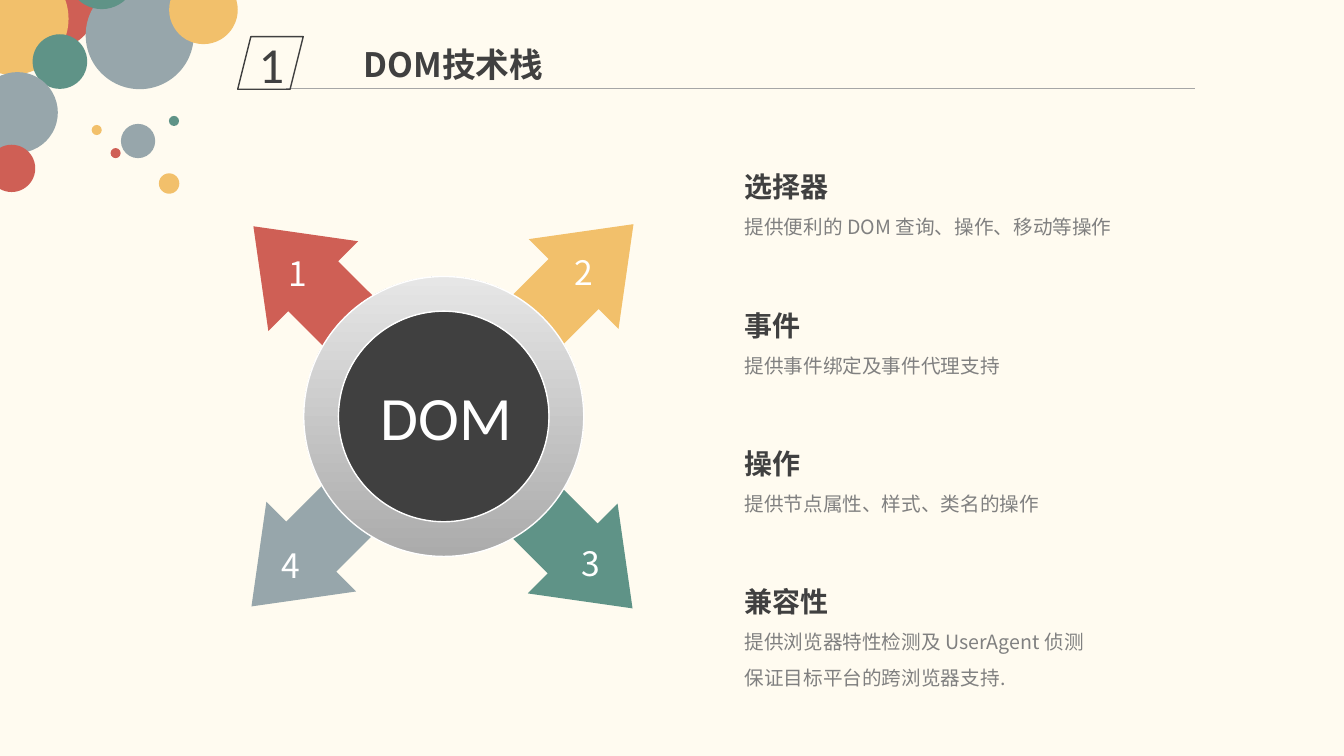
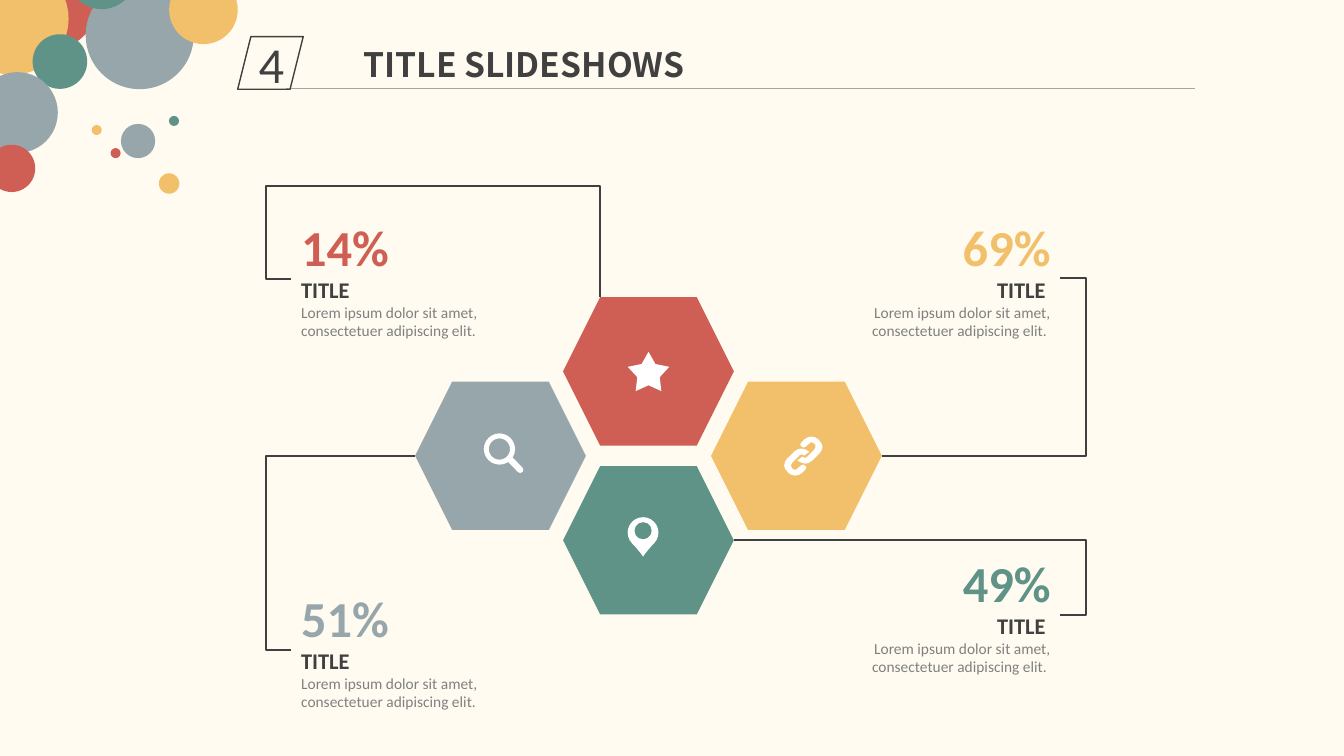
from dataclasses import dataclass

from lxml.etree import SubElement
from pptx import Presentation
from pptx.dml.color import RGBColor
from pptx.enum.shapes import MSO_CONNECTOR, MSO_SHAPE
from pptx.enum.text import MSO_ANCHOR, MSO_AUTO_SIZE, PP_ALIGN
from pptx.oxml.ns import qn
from pptx.util import Pt

CREAM = RGBColor(0xFF, 0xFB, 0xF0)
RED = RGBColor(0xCF, 0x5F, 0x55)
YELLOW = RGBColor(0xF2, 0xC0, 0x6B)
GREEN = RGBColor(0x5F, 0x93, 0x87)
SLATE = RGBColor(0x97, 0xA6, 0xAB)
DARK = RGBColor(0x40, 0x40, 0x40)
GREY = RGBColor(0x80, 0x80, 0x80)
RULE = RGBColor(0xA6, 0xA6, 0xA6)
RING_DARK = RGBColor(0xAB, 0xAB, 0xAB)
RING_LIGHT = RGBColor(0xE6, 0xE6, 0xE6)
WHITE = RGBColor(0xFF, 0xFF, 0xFF)
LATIN = "Calibri"
CJK = "Noto Sans CJK SC"
LOREM = "Lorem ipsum dolor sit amet, consectetuer adipiscing elit."


@dataclass(frozen=True)
class Line:
    text: str
    size: float
    color: RGBColor
    font: str = CJK
    bold: bool = False


@dataclass(frozen=True)
class Circle:
    left: float
    top: float
    size: float
    color: RGBColor


@dataclass(frozen=True)
class Arrow:
    label: str
    left: float
    top: float
    rotation: float
    color: RGBColor
    label_left: float
    label_top: float


@dataclass(frozen=True)
class Topic:
    heading: str
    details: tuple[str, ...]


@dataclass(frozen=True)
class Stat:
    percent: str
    color: RGBColor
    column: int
    row: int
    left: float
    top: float
    width: float
    on_right: bool


@dataclass(frozen=True)
class Elbow:
    start: tuple[float, float]
    end: tuple[float, float]
    bend_x: float
    bend_y: float | None = None


CIRCLES = (
    Circle(2.9, -31.7, 67, RED),
    Circle(-31, -26.6, 80, YELLOW),
    Circle(23.3, 24.5, 39, GREEN),
    Circle(-16.5, 51.5, 57.8, SLATE),
    Circle(61.2, -13.5, 77.2, SLATE),
    Circle(48.2, -42.5, 49, GREEN),
    Circle(-8.6, 103.4, 33.8, RED),
    Circle(86.4, 88.5, 24.5, SLATE),
    Circle(79, 105.8, 7.2, RED),
    Circle(65.5, 89.3, 7.2, YELLOW),
    Circle(120.7, 82.8, 7.2, GREEN),
    Circle(113.5, 123.8, 14.6, YELLOW),
    Circle(120.8, -17.5, 49, YELLOW),
)
ARROWS = (
    Arrow("1", 188.6, 139.7, 315, RED, 198.5, 177),
    Arrow("2", 354.2, 138.2, 45, YELLOW, 402.9, 176.4),
    Arrow("3", 353.5, 306.7, 135, GREEN, 407.8, 384.5),
    Arrow("4", 187.2, 305.3, 225, SLATE, 193.5, 385.8),
)
TOPICS = (
    Topic("选择器", ("提供便利的 DOM 查询、操作、移动等操作",)),
    Topic("事件", ("提供事件绑定及事件代理支持",)),
    Topic("操作", ("提供节点属性、样式、类名的操作",)),
    Topic("兼容性", ("提供浏览器特性检测及 UserAgent 侦测", "保证目标平台的跨浏览器支持.")),
)
STATS = (
    Stat("14%", RED, 0, -1, 208, 150.5, 192, False),
    Stat("69%", YELLOW, 1, 0, 589, 150.5, 168.5, True),
    Stat("49%", GREEN, 0, 1, 584, 390.5, 173.5, True),
    Stat("51%", SLATE, -1, 0, 208, 415.5, 182, False),
)
ELBOWS = (
    Elbow((208, 199), (428.6, 212.4), 189.9, 132.8),
    Elbow((630, 325.7), (757.5, 198.5), 775.7),
    Elbow((524.3, 385.7), (757.5, 439.2), 775.7),
    Elbow((208, 464.2), (296.6, 325.7), 189.9),
)
LINK = (
    (-1.4, -5.4), (1.4, -4.7), (4.3, -3.2), (0.7, -0.4), (-0.7, -1.1),
    (-2.2, -1.1), (-2.9, -0.4), (-7.9, 4.7), (-8.6, 6.1), (-8.6, 7.6),
    (-7.9, 9), (-6.5, 9.7), (-5, 9.7), (-4.3, 9), (-1.4, 6.5), (0, 6.1),
    (1.4, 6.8), (2.2, 8.3), (1.4, 9.7), (-0.7, 11.9), (-2.9, 13.3),
    (-5.8, 14), (-8.6, 13.3), (-10.8, 11.9), (-13, 9), (-13.7, 6.8),
    (-13, 4), (-11.5, 1.8), (-6.5, -3.2), (-3.6, -5),
)


def add_shape(shapes, kind, left, top, width, height, fill=None, adjustments=()):
    sp = shapes.add_shape(kind, Pt(left), Pt(top), Pt(width), Pt(height))
    sp.shadow.inherit = False
    sp.line.fill.background()
    if fill is None:
        sp.fill.background()
    else:
        sp.fill.solid()
        sp.fill.fore_color.rgb = fill
    for i, value in enumerate(adjustments):
        sp.adjustments[i] = value
    return sp


def add_line(s, kind, start, end, color, width):
    line = s.shapes.add_connector(kind, *(Pt(v) for v in (*start, *end)))
    line.line.color.rgb = color
    line.line.width = Pt(width)
    SubElement(line._element.spPr, qn("a:effectLst"))
    return line


def add_elbow(s, elbow: Elbow) -> None:
    (x0, y0), (x1, y1) = elbow.start, elbow.end
    line = add_line(s, MSO_CONNECTOR.ELBOW, elbow.start, elbow.end, DARK, 1.5)
    bends = [(elbow.bend_x - x0) / (x1 - x0)]
    if elbow.bend_y is not None:
        bends.append((elbow.bend_y - y0) / (y1 - y0))
    geometry = line._element.spPr.find(qn("a:prstGeom"))
    geometry.set("prst", f"bentConnector{len(bends) + 2}")
    guides = geometry.get_or_add_avLst()
    for i, bend in enumerate(bends, 1):
        SubElement(guides, qn("a:gd"), name=f"adj{i}", fmla=f"val {round(bend * 100000)}")


def write_lines(tf, lines: list[Line], align=PP_ALIGN.LEFT, spacing=1.0) -> None:
    for i, line in enumerate(lines):
        p = tf.add_paragraph() if i else tf.paragraphs[0]
        p.text = line.text
        p.alignment = align
        p.line_spacing = spacing
        r = p.runs[0]
        r.font.size = Pt(line.size)
        r.font.bold = line.bold
        r.font.color.rgb = line.color
        r.font.name = line.font
        SubElement(r._r.get_or_add_rPr(), qn("a:ea"), typeface=line.font)


def add_text(s, left, top, width, height, lines, align=PP_ALIGN.LEFT, spacing=1.0, wrap=True):
    box = s.shapes.add_textbox(Pt(left), Pt(top), Pt(width), Pt(height))
    box.text_frame.word_wrap = wrap
    box.text_frame.auto_size = MSO_AUTO_SIZE.SHAPE_TO_FIT_TEXT
    write_lines(box.text_frame, lines, align, spacing)


def add_titled_slide(prs, number: str, title: str):
    s = prs.slides.add_slide(prs.slide_layouts[6])
    group = s.shapes.add_group_shape()
    for c in CIRCLES:
        add_shape(group.shapes, MSO_SHAPE.OVAL, c.left, c.top, c.size, c.size, c.color)
    add_line(s, MSO_CONNECTOR.STRAIGHT, (204.5, 63.2), (853.5, 63.2), RULE, 0.5)
    badge = add_shape(s.shapes, MSO_SHAPE.PARALLELOGRAM, 169.8, 26.2, 46.8, 37.6)
    badge.line.color.rgb = DARK
    badge.line.width = Pt(1)
    badge.text_frame.vertical_anchor = MSO_ANCHOR.MIDDLE
    write_lines(badge.text_frame, [Line(number, 36, DARK, LATIN)], PP_ALIGN.CENTER)
    add_text(s, 252.7, 27.8, 369.4, 36, [Line(title, 24, DARK, bold=True)])
    return s


def build_dom_slide(prs) -> None:
    s = add_titled_slide(prs, "1", "DOM技术栈")
    for a in ARROWS:
        sp = add_shape(s.shapes, MSO_SHAPE.UP_ARROW, a.left, a.top, 90.7, 149.8, a.color, (0.556, 0.667))
        sp.rotation = a.rotation
    hub = (217, 197.5, 200, 200)
    add_shape(s.shapes, MSO_SHAPE.OVAL, *hub, DARK)
    ring = add_shape(s.shapes, MSO_SHAPE.DONUT, *hub, RING_DARK, (0.124,))
    ring.fill.gradient()
    ring.fill.gradient_angle = 90
    for stop, color in zip(ring.fill.gradient_stops, (RING_DARK, RING_LIGHT)):
        stop.color.rgb = color
    ring.line.color.rgb = WHITE
    ring.line.width = Pt(1)
    for a in ARROWS:
        add_text(s, a.label_left, a.label_top, 28.8, 36, [Line(a.label, 24, WHITE)],
                 PP_ALIGN.CENTER, wrap=False)
    add_text(s, 264.2, 267.1, 109.4, 60.5, [Line("DOM", 44, WHITE, LATIN)],
             PP_ALIGN.CENTER, wrap=False)
    for i, topic in enumerate(TOPICS):
        lines = [Line(topic.heading, 20, DARK, bold=True)]
        lines += [Line(detail, 14, GREY) for detail in topic.details]
        add_text(s, 524.7, 105.8 + 98.8 * i, 296.6, 41 + 25.2 * len(topic.details), lines, spacing=1.5)


def add_icons(s) -> None:
    add_shape(s.shapes, MSO_SHAPE.DONUT, 345.6, 309.6, 22.3, 22.3, WHITE, (0.16,))
    handle = add_line(s, MSO_CONNECTOR.STRAIGHT, (364.8, 328.6), (371.6, 335.6), WHITE, 4.5)
    handle.line._get_or_add_ln().set("cap", "rnd")
    add_shape(s.shapes, MSO_SHAPE.STAR_5_POINT, 448.4, 251.3, 29.7, 28.1, WHITE, (0.27,))
    pin = add_shape(s.shapes, MSO_SHAPE.TEAR, 448.3, 369.4, 22, 22, WHITE, (1.1,))
    pin.rotation = 135
    add_shape(s.shapes, MSO_SHAPE.OVAL, 453.3, 373, 12.2, 12.2, GREEN)
    for sign in (1, -1):
        points = [(Pt(573.8 + sign * x), Pt(325.8 + sign * y)) for x, y in LINK]
        outline = s.shapes.build_freeform(*points[0], scale=1.0)
        outline.add_line_segments(points[1:], close=True)
        link = outline.convert_to_shape()
        link.shadow.inherit = False
        link.fill.solid()
        link.fill.fore_color.rgb = WHITE
        link.line.fill.background()


def build_stats_slide(prs) -> None:
    s = add_titled_slide(prs, "4", "TITLE SLIDESHOWS")
    for stat in STATS:
        add_shape(s.shapes, MSO_SHAPE.HEXAGON, 402.2 + 105.7 * stat.column,
                  272.6 + 60.3 * stat.row, 122, 106, stat.color)
    add_icons(s)
    for stat in STATS:
        align, tail = (PP_ALIGN.RIGHT, " ") if stat.on_right else (PP_ALIGN.LEFT, "")
        lines = [
            Line(stat.percent, 36, stat.color, LATIN, True),
            Line("TITLE" + tail, 16, DARK, LATIN, True),
            Line(LOREM + tail, 11, GREY, LATIN),
        ]
        add_text(s, stat.left, stat.top, stat.width, 97.2, lines, align)
    for elbow in ELBOWS:
        add_elbow(s, elbow)


def main() -> None:
    prs = Presentation()
    prs.slide_width, prs.slide_height = Pt(960), Pt(540)
    background = prs.slide_master.background.fill
    background.solid()
    background.fore_color.rgb = CREAM
    build_dom_slide(prs)
    build_stats_slide(prs)
    prs.save("out.pptx")


if __name__ == "__main__":
    main()
